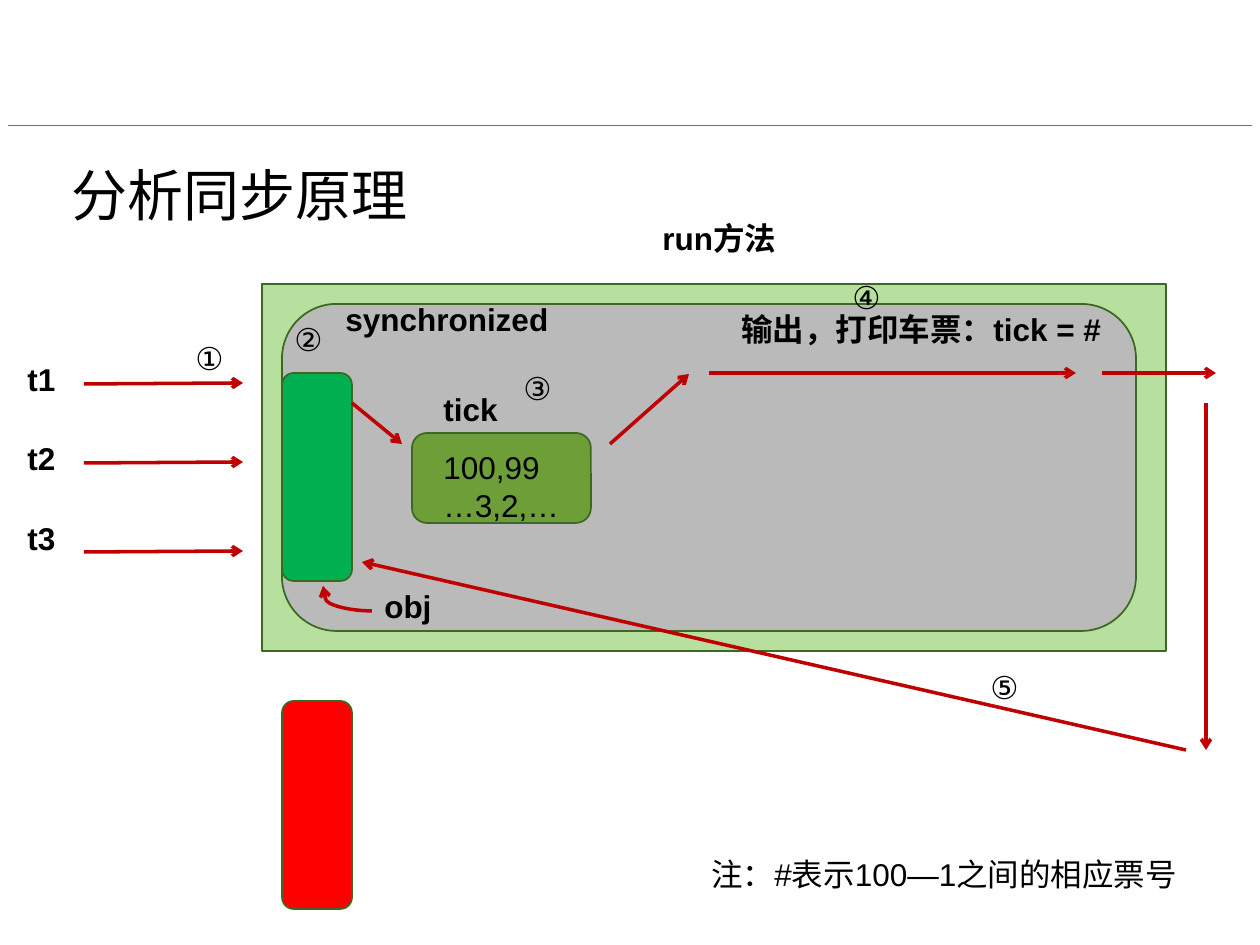
from pptx import Presentation
from pptx.dml.color import RGBColor
from pptx.enum.shapes import MSO_CONNECTOR as Connector, MSO_SHAPE as Shape
from pptx.enum.text import MSO_ANCHOR as Anchor, MSO_AUTO_SIZE as AutoSize, PP_ALIGN as Align
from pptx.oxml.ns import qn
from pptx.util import Pt
from lxml.etree import SubElement

EMU_PER_PX = 914400 / 126
BLACK = RGBColor(0x00, 0x00, 0x00)
RULE_GREEN = RGBColor(0x53, 0x8C, 0x2E)
OUTLINE_GREEN = RGBColor(0x3D, 0x68, 0x22)
METHOD_GREEN = RGBColor(0xB7, 0xDF, 0x9D)
BLOCK_GRAY = RGBColor(0xBA, 0xBA, 0xBA)
LOCK_GREEN = RGBColor(0x00, 0xB0, 0x50)
TICK_GREEN = RGBColor(0x6D, 0x9E, 0x38)
LOCK_RED = RGBColor(0xFF, 0x00, 0x00)
ARROW_RED = RGBColor(0xC0, 0x00, 0x00)
LATIN_FONT = "Arial"
CJK_FONT = "Noto Sans CJK SC"


def px(*lengths):
    return [round(length * EMU_PER_PX) for length in lengths]


def write_text(frame, text, size=18, bold=False, font=LATIN_FONT, wrap=True):
    frame.word_wrap = wrap
    frame.auto_size = AutoSize.SHAPE_TO_FIT_TEXT
    frame.vertical_anchor = Anchor.TOP
    paragraph = frame.paragraphs[0]
    paragraph.alignment = Align.LEFT
    run = paragraph.add_run()
    run.text = text
    run.font.name = font
    run.font.size = Pt(size)
    run.font.bold = bold
    run.font.color.rgb = BLACK
    SubElement(run.font._element, qn("a:ea"), typeface=CJK_FONT)


class Diagram:
    def __init__(self, slide, outline=OUTLINE_GREEN, arrow_color=ARROW_RED):
        self.slide = slide
        self.outline = outline
        self.arrow_color = arrow_color

    def title(self, text, left, top, width, height):
        title = self.slide.shapes.title
        title.left, title.top, title.width, title.height = px(left, top, width, height)
        write_text(title.text_frame, text, size=32, font=CJK_FONT)

    def box(self, kind, fill, left, top, width, height):
        shape = self.slide.shapes.add_shape(kind, *px(left, top, width, height))
        shape.shadow.inherit = False
        shape.fill.solid()
        shape.fill.fore_color.rgb = fill
        shape.line.color.rgb = self.outline
        shape.line.width = Pt(1)

    def label(self, text, left, top, width, height=50, **style):
        shape = self.slide.shapes.add_textbox(*px(left, top, width, height))
        write_text(shape.text_frame, text, **style)

    def line(self, start, end, color, width, kind=Connector.STRAIGHT):
        connector = self.slide.shapes.add_connector(kind, *px(*start, *end))
        connector.line.color.rgb = color
        connector.line.width = Pt(width)
        SubElement(connector._element.spPr, qn("a:effectLst"))
        return connector

    def arrow(self, start, end, kind=Connector.STRAIGHT):
        connector = self.line(start, end, self.arrow_color, 2, kind)
        SubElement(connector.line._get_or_add_ln(), qn("a:tailEnd"), type="arrow")
        return connector

    def curved_arrow(self, start, end, bend):
        connector = self.arrow(start, end, Connector.CURVE)
        adjustments = connector._element.spPr.find(qn("a:prstGeom")).get_or_add_avLst()
        SubElement(adjustments, qn("a:gd"), name="adj1", fmla=f"val {bend}")


def main():
    presentation = Presentation()
    presentation.slide_width, presentation.slide_height = px(1260, 945)
    slide = presentation.slides.add_slide(presentation.slide_layouts[5])
    diagram = Diagram(slide)

    diagram.line((8, 125), (1252, 125), RULE_GREEN, 0.5)
    diagram.title("分析同步原理", 59, 154, 520, 81)

    diagram.box(Shape.RECTANGLE, METHOD_GREEN, 262, 284, 904, 367)
    for fill, *bounds in (
        (BLOCK_GRAY, 282, 304, 854, 327),
        (LOCK_GREEN, 282, 373, 70, 208),
        (TICK_GREEN, 412, 433, 179, 90),
        (LOCK_RED, 282, 701, 70, 208),
    ):
        diagram.box(Shape.ROUNDED_RECTANGLE, fill, *bounds)

    for text, left, top, width in (
        ("run方法", 650, 213, 169),
        ("tick", 431, 384, 179),
        ("输出，打印车票：tick = #", 729, 304, 397),
        ("synchronized", 333, 294, 238),
        ("obj", 372, 581, 89),
    ):
        diagram.label(text, left, top, width, bold=True)

    for name, label_top, arrow_y in (("t1", 354, 384), ("t2", 433, 463), ("t3", 513, 552)):
        diagram.label(name, 15, label_top, 129, bold=True)
        diagram.arrow((84, arrow_y), (243, arrow_y - 1))

    for start, end in (
        ((352, 403), (402, 444)),
        ((610, 444), (689, 374)),
        ((709, 373), (1076, 373)),
        ((1102, 373), (1216, 373)),
        ((1206, 403), (1206, 750)),
        ((1186, 750), (362, 562)),
    ):
        diagram.arrow(start, end)
    diagram.curved_arrow((372, 611), (323, 586), 95000)

    for number, left, top in (
        ("①", 183, 333),
        ("②", 282, 314),
        ("③", 511, 363),
        ("④", 840, 272),
        ("⑤", 978, 662),
    ):
        diagram.label(number, left, top, 57, wrap=False)

    diagram.label("100,99…3,2,…", 431, 442, 149, 127)
    diagram.label("注：#表示100—1之间的相应票号", 699, 849, 507)

    presentation.save("out.pptx")


if __name__ == "__main__":
    main()
